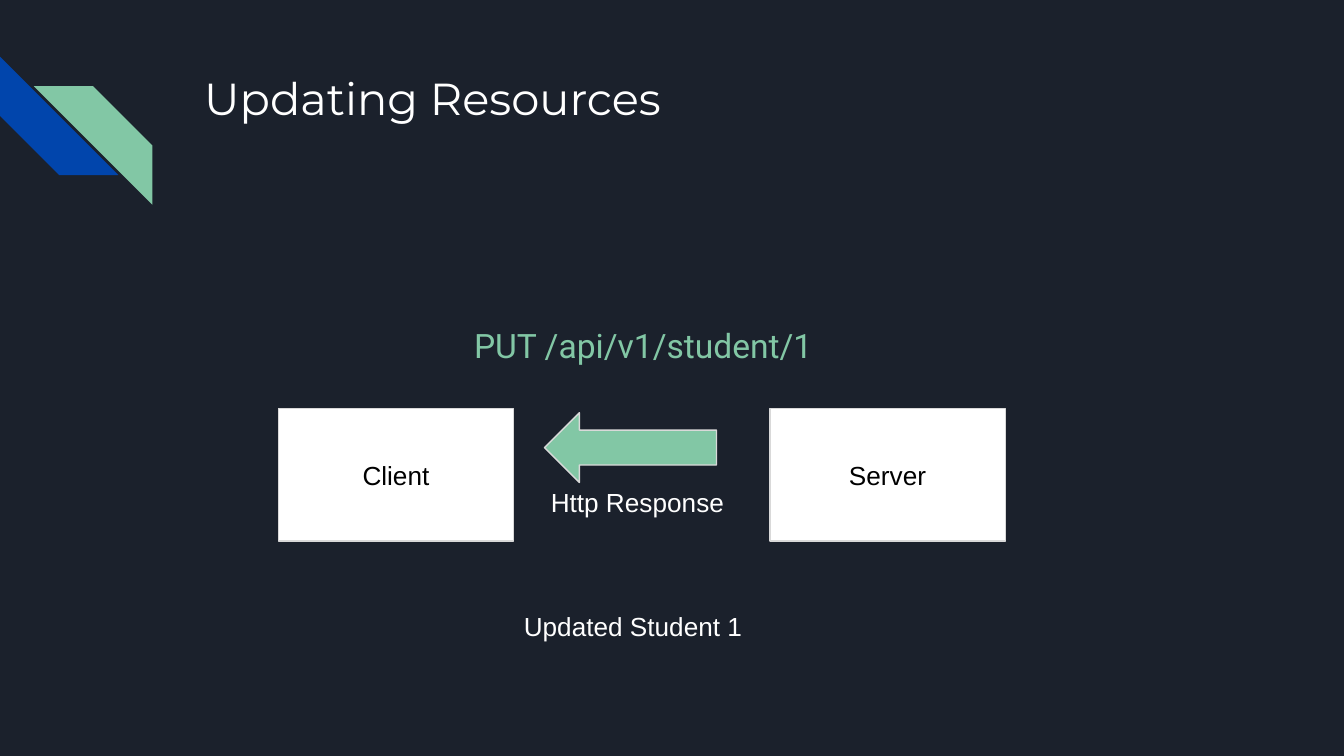
from pptx import Presentation
from pptx.dml.color import RGBColor
from pptx.enum.shapes import MSO_SHAPE
from pptx.enum.text import MSO_ANCHOR, MSO_AUTO_SIZE, PP_ALIGN
from pptx.util import Cm, Pt

NAVY, BLUE, GREEN = "1B212C", "0145AC", "82C7A5"
WHITE, BLACK, GREY = "FFFFFF", "000000", "D9D9D9"

TITLE = ("Updating Resources", (3.61, 1.09, 19.56, 2.54))
STRIPES = [
    ((0, 1.07, 2.24, 2.24), 270, BLUE),
    ((0.64, 1.63, 2.24, 2.24), 90, GREEN),
]
ENDPOINTS = ["Client", "Server"]
ENDPOINT_LEFT, ENDPOINT_STEP = 5.26, 9.29
ENDPOINT_TOP, ENDPOINT_SIZE = 7.72, (4.45, 2.51)
RESPONSE_ARROW = (10.29, 7.8, 3.25, 1.32)
LABEL = {"size": Pt(14), "name": "Arial"}
REQUEST = {"size": Pt(18), "name": "Roboto"}
CAPTIONS = [
    ("PUT /api/v1/student/1", (8.71, 5.77, 7.09, 1.22), REQUEST, GREEN, 1.15),
    ("Updated Student 1", (9.65, 11.28, 4.75, 0.89), LABEL, WHITE, 1.0),
    ("Http Response", (10.16, 8.94, 3.96, 1.22), LABEL, WHITE, 1.0),
]


def paint(target, color):
    if hasattr(target, "solid"):
        target.solid()
        target = target.fore_color
    target.rgb = RGBColor.from_string(color)


def lengths(box):
    return [Cm(value) for value in box]


def add_block(slide, kind, box, color, outline=None):
    block = slide.shapes.add_shape(kind, *lengths(box))
    block.shadow.inherit = False
    paint(block.fill, color)
    if outline:
        paint(block.line.fill, outline)
        block.line.width = Pt(0.75)
    else:
        block.line.fill.background()
    return block


def write(holder, words, font, color, align=PP_ALIGN.LEFT,
          anchor=MSO_ANCHOR.TOP, spacing=1.0):
    frame = holder.text_frame
    frame.text = words
    margins = {f"margin_{side}": Cm(0.25) for side in ("left", "top", "right", "bottom")}
    paragraph = frame.paragraphs[0]
    formats = [
        (frame, {"word_wrap": True, "auto_size": MSO_AUTO_SIZE.NONE,
                 "vertical_anchor": anchor, **margins}),
        (paragraph, {"alignment": align, "line_spacing": spacing}),
        (paragraph.runs[0].font, font),
    ]
    for target, values in formats:
        for key, value in values.items():
            setattr(target, key, value)
    paint(paragraph.runs[0].font.color, color)


def main():
    deck = Presentation()
    deck.slide_width, deck.slide_height = Cm(25.4), Cm(14.29)
    slide = deck.slides.add_slide(deck.slide_layouts[5])
    paint(slide.background.fill, NAVY)

    for box, rotation, color in STRIPES:
        add_block(slide, MSO_SHAPE.DIAGONAL_STRIPE, box, color).rotation = rotation

    heading, heading_box = TITLE
    title = slide.shapes.title
    title.left, title.top, title.width, title.height = lengths(heading_box)
    write(title, heading, {"size": Pt(24), "name": "Montserrat"}, WHITE)

    for index, name in enumerate(ENDPOINTS):
        box = (ENDPOINT_LEFT + index * ENDPOINT_STEP, ENDPOINT_TOP, *ENDPOINT_SIZE)
        endpoint = add_block(slide, MSO_SHAPE.RECTANGLE, box, WHITE, GREY)
        write(endpoint, name, LABEL, BLACK, PP_ALIGN.CENTER, MSO_ANCHOR.MIDDLE)

    arrow = add_block(slide, MSO_SHAPE.RIGHT_ARROW, RESPONSE_ARROW, GREEN, GREY)
    arrow.rotation = 180

    for words, box, font, color, spacing in CAPTIONS:
        caption = slide.shapes.add_textbox(*lengths(box))
        write(caption, words, font, color, spacing=spacing)

    deck.save("out.pptx")


if __name__ == "__main__":
    main()
